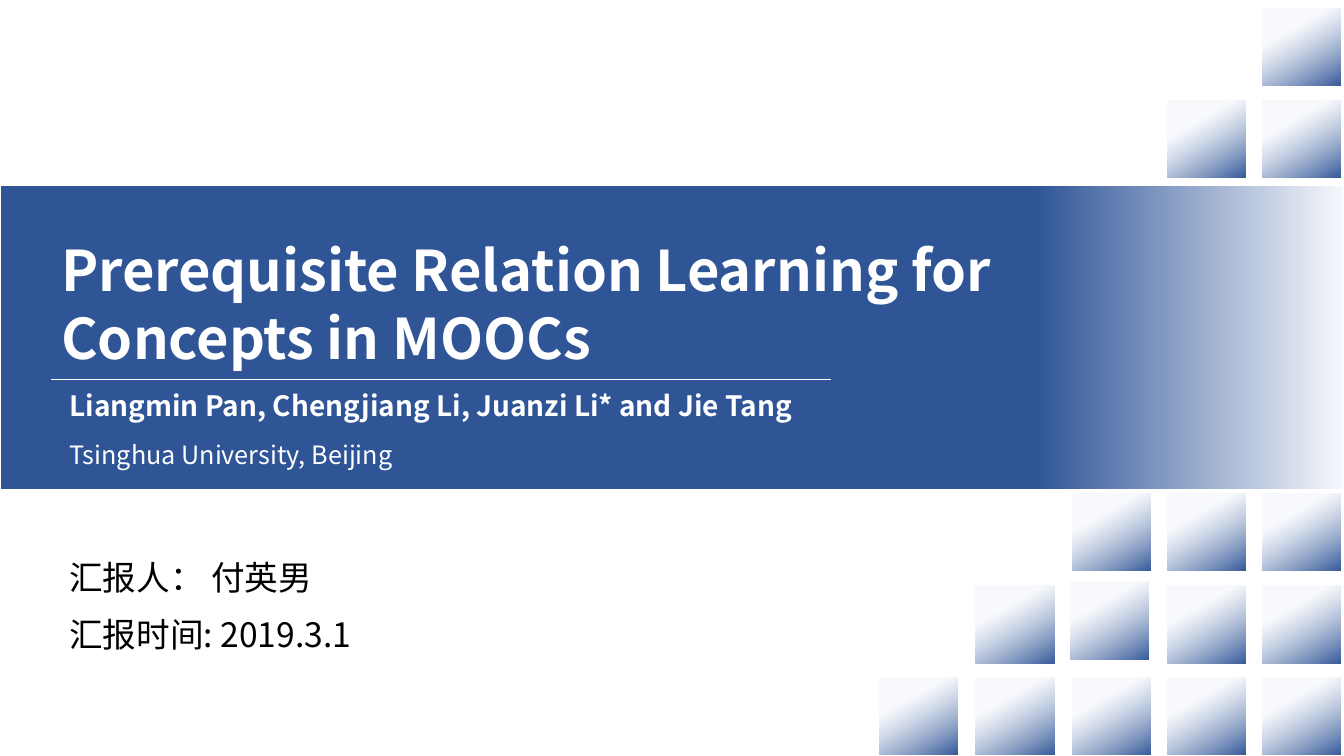
from lxml import etree
from pptx import Presentation, util as u
from pptx.dml.color import RGBColor
from pptx.enum import shapes, text
from pptx.oxml.ns import qn

Pt = u.Pt
WHITE, BLACK, BLUE, PALE = "FFFFFF", "000000", "2F5597", "F6F8FC"
FONT = "Noto Sans CJK SC"


def color(value):
    return RGBColor.from_string(value)


def add_element(parent, tag, **attributes):
    element = etree.SubElement(parent, qn(tag))
    for name, value in attributes.items():
        element.set(name, str(value))
    return element


def write_text(frame, lines, size, fill=WHITE, bold=False, spacing=None, shadow=False):
    for index, line in enumerate(lines):
        paragraph = frame.paragraphs[0] if index == 0 else frame.add_paragraph()
        if spacing:
            paragraph.line_spacing = spacing
        run = paragraph.add_run()
        run.text = line
        run.font.size = Pt(size)
        run.font.bold = bold
        run.font.color.rgb = color(fill)
        run.font.name = FONT
        properties = run.font._element
        if shadow:
            effects = etree.Element(qn("a:effectLst"))
            outer = add_element(effects, "a:outerShdw", blurRad=Pt(3), dist=Pt(3),
                                dir=2700000, algn="tl")
            black = add_element(outer, "a:srgbClr", val=BLACK)
            add_element(black, "a:alpha", val=43000)
            properties.find(qn("a:latin")).addprevious(effects)
        add_element(properties, "a:ea", typeface=FONT)


class CoverSlide:
    def __init__(self, presentation):
        self.slide = presentation.slides.add_slide(presentation.slide_layouts[6])

    def gradient_box(self, left, top, width, height, stops, angle):
        """Stops are (position in %, colour, opacity in %); angle is clockwise."""
        shape = self.slide.shapes.add_shape(
            shapes.MSO_SHAPE.RECTANGLE, Pt(left), Pt(top), Pt(width), Pt(height))
        shape.shadow.inherit = False
        shape.line.color.rgb = color(WHITE)
        shape.line.width = Pt(1)
        shape.fill.gradient()
        shape.fill.gradient_angle = (360 - angle) % 360
        stop_list = shape._element.spPr.find(qn("a:gradFill")).find(qn("a:gsLst"))
        for old_stop in list(stop_list):
            stop_list.remove(old_stop)
        for position, value, opacity in stops:
            stop = add_element(stop_list, "a:gs", pos=position * 1000)
            stop_color = add_element(stop, "a:srgbClr", val=value)
            if opacity < 100:
                add_element(stop_color, "a:alpha", val=opacity * 1000)

    def text_box(self, left, top, width, height, lines, **style):
        box = self.slide.shapes.add_textbox(Pt(left), Pt(top), Pt(width), Pt(height))
        box.text_frame.word_wrap = True
        box.text_frame.auto_size = text.MSO_AUTO_SIZE.SHAPE_TO_FIT_TEXT
        write_text(box.text_frame, lines, **style)

    def rule(self, left, right, top):
        line = self.slide.shapes.add_connector(
            shapes.MSO_CONNECTOR.STRAIGHT, Pt(left), Pt(top), Pt(right), Pt(top))
        line.line.color.rgb = color(WHITE)
        line.line.width = Pt(0.5)
        add_element(line._element.spPr, "a:effectLst")


def main():
    presentation = Presentation()
    presentation.slide_width, presentation.slide_height = Pt(960), Pt(540)
    cover = CoverSlide(presentation)

    # Title band
    cover.gradient_box(0, 132, 960, 217.5,
                       [(0, PALE, 100), (23, BLUE, 100), (100, BLUE, 100)], 180)
    cover.text_box(36.7, 165, 900, 104.4,
                   ["Prerequisite Relation Learning for", "Concepts in MOOCs"],
                   size=40, bold=True)

    # Stair of squares: row top -> left edges
    columns = [627.1, 696.2, 765.4, 833, 900.7]
    stair = {5: columns[4:], 70.6: columns[3:], 351.4: columns[2:],
             414.7: [763.9], 417.6: [columns[1], *columns[3:]], 483.1: columns}
    for top, lefts in stair.items():
        for left in lefts:
            cover.gradient_box(left, top, 57.6, 56.9,
                               [(32, PALE, 64), (100, BLUE, 100)], 60)

    # Authors and presenter
    cover.rule(36.7, 593.3, 270.7)
    cover.text_box(42.5, 274.3, 584.6, 31.7,
                   ["Liangmin Pan, Chengjiang Li, Juanzi Li* and Jie Tang"],
                   size=20, bold=True, shadow=True)
    cover.text_box(42.5, 310.3, 378, 28.8, ["Tsinghua University, Beijing"], size=18)
    cover.text_box(42.5, 383, 306, 88.6, ["汇报人： 付英男", "汇报时间: 2019.3.1"],
                   size=24, fill=BLACK, spacing=1.4)

    presentation.save("out.pptx")


if __name__ == "__main__":
    main()
